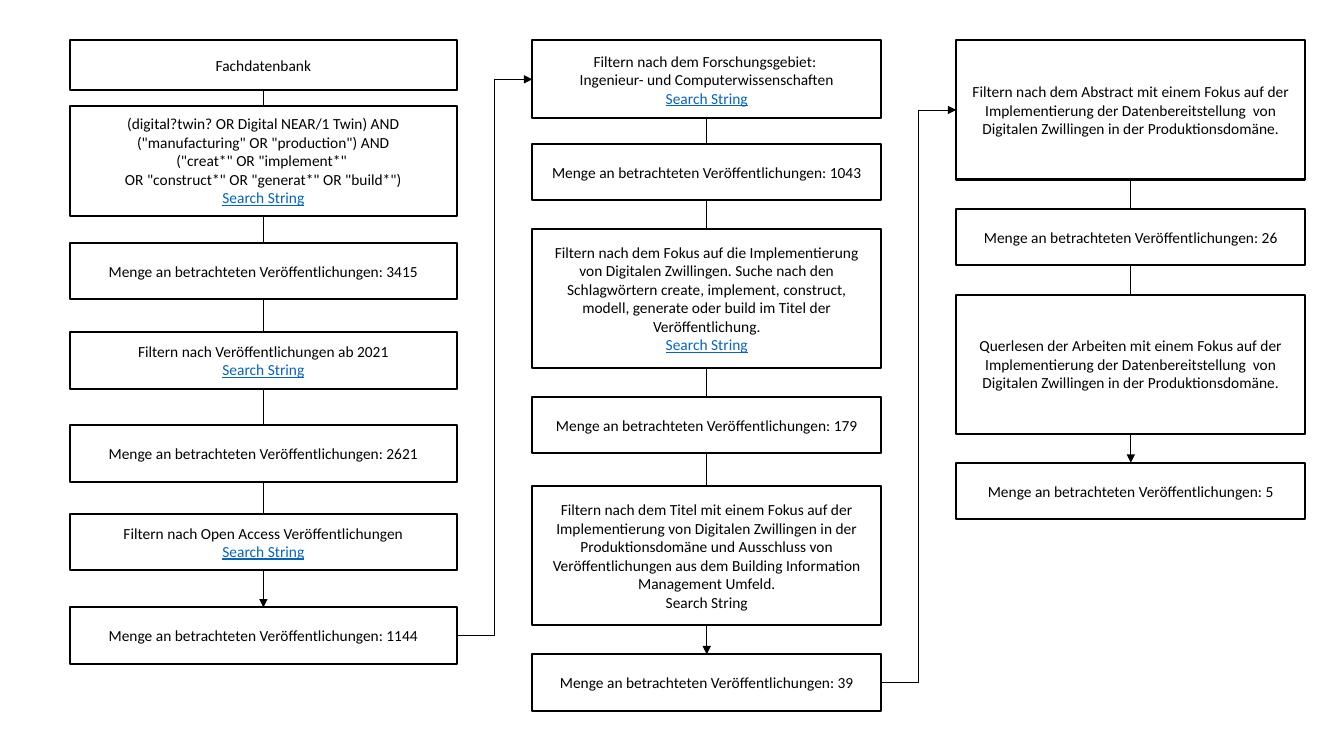
from itertools import pairwise

from lxml import etree
from pptx import Presentation
from pptx.dml.color import RGBColor
from pptx.enum.shapes import MSO_CONNECTOR, MSO_SHAPE
from pptx.enum.text import MSO_ANCHOR, PP_ALIGN
from pptx.oxml.ns import qn
from pptx.util import Pt

RECT = MSO_SHAPE.RECTANGLE
STRAIGHT, ELBOW = MSO_CONNECTOR.STRAIGHT, MSO_CONNECTOR.ELBOW
CENTER, MIDDLE = PP_ALIGN.CENTER, MSO_ANCHOR.MIDDLE
TOP, LEFT, BOTTOM, RIGHT = range(4)  # connection sites of a rectangle

BLACK = RGBColor(0x00, 0x00, 0x00)
WHITE = RGBColor(0xFF, 0xFF, 0xFF)
LINK = RGBColor(0x05, 0x63, 0xC1)

SEARCH = "Search String"


class Flowchart:
    font, size = "Calibri", 11
    border, stroke = 1.5, 0.5

    def __init__(self, slide):
        self.shapes = slide.shapes

    def run(self, p, text, color=BLACK):
        r = p.add_run()
        r.text = text
        r.font.name, r.font.size = self.font, Pt(self.size)
        r.font.color.rgb = color
        if color == LINK:
            r.font.underline = True

    def box(self, x, y, w, h, text, search=None, filled=True):
        """Bordered step; search is the colour of its closing search line."""
        sp = self.shapes.add_shape(RECT, Pt(x), Pt(y), Pt(w), Pt(h))
        sp.shadow.inherit = False
        if filled:
            sp.fill.solid()
            sp.fill.fore_color.rgb = WHITE
        else:
            sp.fill.background()
        sp.line.color.rgb, sp.line.width = BLACK, Pt(self.border)
        tf = sp.text_frame
        tf.word_wrap, tf.vertical_anchor = True, MIDDLE
        p = tf.paragraphs[0]
        p.alignment = CENTER
        for i, line in enumerate(text.split("\n")):
            if i:
                p.add_line_break()
            self.run(p, line)
        if search is not None:
            p = tf.add_paragraph()
            p.alignment = CENTER
            self.run(p, SEARCH, search)
        return sp

    def arrow(self, kind, start, start_site, end, end_site):
        c = self.shapes.add_connector(kind, 0, 0, 0, 0)
        c.begin_connect(start, start_site)
        c.end_connect(end, end_site)
        c.line.color.rgb, c.line.width = BLACK, Pt(self.stroke)
        etree.SubElement(c.line._get_or_add_ln(), qn("a:tailEnd"), type="triangle")
        etree.SubElement(c._element.spPr, qn("a:effectLst"))

    def column(self, x, w, steps):
        """Ends first, then the arrow, then the steps that cover it."""
        first, *middle, last = steps
        ends = [self.box(x, y, w, h, *text, filled=False)
                for y, h, *text in (first, last)]
        self.arrow(STRAIGHT, ends[0], BOTTOM, ends[1], TOP)
        for y, h, *text in middle:
            self.box(x, y, w, h, *text)
        return ends


def count(y, number):
    return y, 40.3, f"Menge an betrachteten Veröffentlichungen: {number}"


def focus(y, task):
    return y, 99.5, (f"{task} mit einem Fokus auf der Implementierung der "
                     "Datenbereitstellung  von Digitalen Zwillingen in der "
                     "Produktionsdomäne.")


QUERY = ('(digital?twin? OR Digital NEAR/1 Twin) AND\n'
         '("manufacturing" OR "production") AND\n'
         '("creat*" OR "implement*" \n'
         'OR "construct*" OR "generat*" OR "build*")')

# Each step: top, height, text and optional colour of the search line
COLUMNS = [
    (50, 276.3, [
        (28.8, 35.3, "Fachdatenbank"),
        (75.5, 78.8, QUERY, LINK),
        count(173.5, 3415),
        (237.4, 40.3, "Filtern nach Veröffentlichungen ab 2021", LINK),
        count(303.8, 2621),
        (367.2, 40, "Filtern nach Open Access Veröffentlichungen", LINK),
        count(433.9, 1144),
    ]),
    (380.2, 249.3, [
        (28.8, 55.8, "Filtern nach dem Forschungsgebiet: \n"
                     "Ingenieur- und Computerwissenschaften", LINK),
        count(102.8, 1043),
        (163.5, 99.5, "Filtern nach dem Fokus auf die Implementierung von "
                      "Digitalen Zwillingen. Suche nach den Schlagwörtern "
                      "create, implement, construct, modell, generate oder "
                      "build im Titel der Veröffentlichung.", LINK),
        count(283.5, 179),
        (347.2, 99.5, "Filtern nach dem Titel mit einem Fokus auf der "
                      "Implementierung von Digitalen Zwillingen in der "
                      "Produktionsdomäne und Ausschluss von "
                      "Veröffentlichungen aus dem Building Information "
                      "Management Umfeld.", BLACK),
        count(467.4, 39),
    ]),
    (683.1, 249.3, [
        focus(28.8, "Filtern nach dem Abstract"),
        count(149.2, 26),
        focus(210.5, "Querlesen der Arbeiten"),
        count(330.5, 5),
    ]),
]

prs = Presentation()
prs.slide_width, prs.slide_height = Pt(960), Pt(540)
s = Flowchart(prs.slides.add_slide(prs.slide_layouts[6]))

# Three columns of steps
ends = [s.column(*column) for column in COLUMNS]

# Arrows from the foot of one column to the head of the next
for (_, foot), (head, _) in pairwise(ends):
    s.arrow(ELBOW, foot, RIGHT, head, LEFT)

prs.save("out.pptx")
